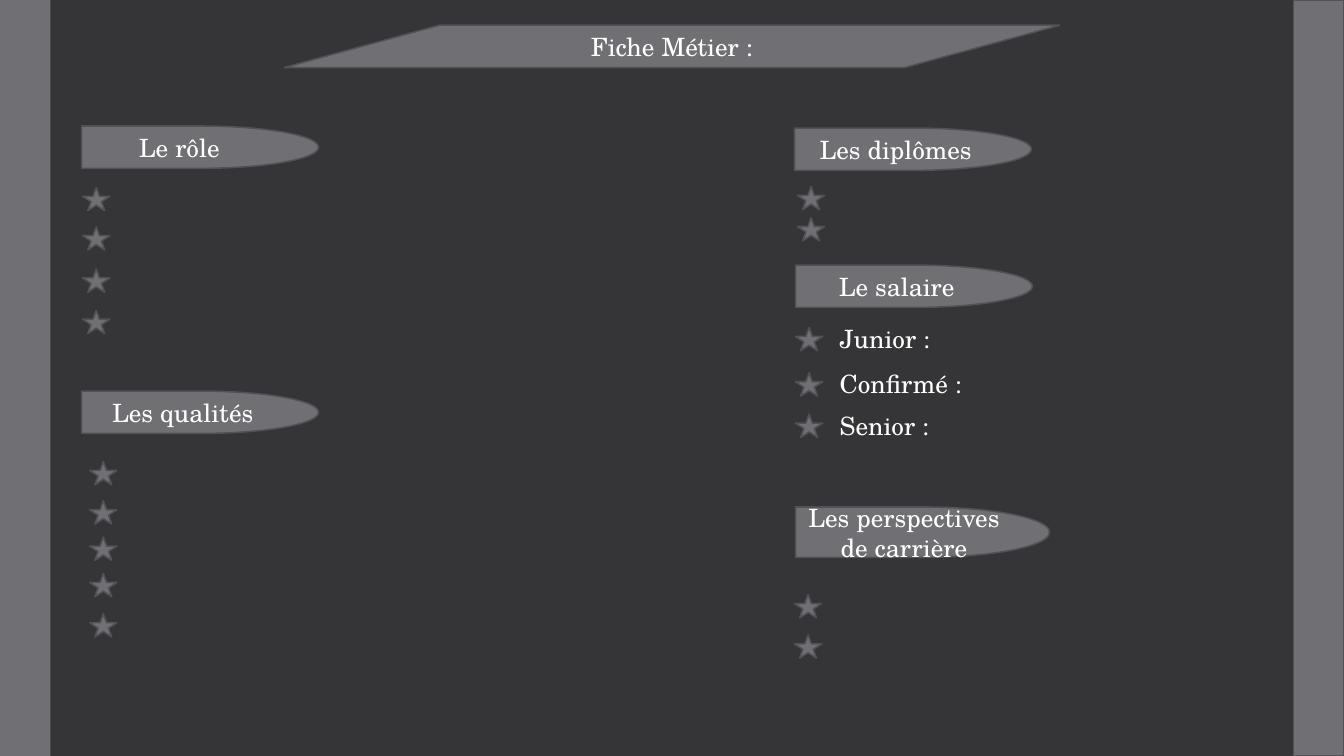
from dataclasses import dataclass

from pptx import Presentation
from pptx.dml.color import RGBColor
from pptx.enum.shapes import MSO_SHAPE
from pptx.enum.text import MSO_ANCHOR, MSO_AUTO_SIZE, PP_ALIGN
from pptx.shapes.autoshape import Shape
from pptx.slide import Slide
from pptx.text.text import TextFrame
from pptx.util import Inches, Pt

BAND = MSO_SHAPE.RECTANGLE
BANNER = MSO_SHAPE.FLOWCHART_DATA
HEADING = MSO_SHAPE.FLOWCHART_DELAY
STAR = MSO_SHAPE.STAR_5_POINT
MIDDLE = MSO_ANCHOR.MIDDLE
CENTER, LEFT = PP_ALIGN.CENTER, PP_ALIGN.LEFT
FIT_SHAPE = MSO_AUTO_SIZE.SHAPE_TO_FIT_TEXT

FONT = "TeX Gyre Schola"
DARK, GREY, EDGE, WHITE = "353537", "6F6F74", "525256", "FFFFFF"

SLIDE_WIDTH, SLIDE_HEIGHT = Inches(13.33), Inches(7.5)
ROWS = 75
CELL = SLIDE_HEIGHT // ROWS
COLUMNS = SLIDE_WIDTH / CELL
BAND_WIDTH = 5
STAR_WIDTH, STAR_HEIGHT = 2.7, 2.3
LABEL_LEFT, LABEL_RISE, LABEL_HEIGHT = 82.3, 0.9, 4


@dataclass(frozen=True)
class Area:
    column: float
    row: float
    columns: float
    rows: float

    def lengths(self) -> tuple[int, ...]:
        return tuple(round(cells * CELL)
                     for cells in (self.column, self.row, self.columns, self.rows))


@dataclass(frozen=True)
class Label:
    text: str
    columns: float


@dataclass(frozen=True)
class Section:
    title: str
    area: Area
    star_column: float
    star_rows: tuple[float, ...]
    labels: tuple[Label, ...] = ()


SECTIONS = (
    Section("Le rôle ", Area(8.1, 12.5, 23.5, 4.2), 8.2, (18.6, 22.5, 26.7, 30.8)),
    Section("Les qualités", Area(8.1, 38.8, 23.5, 4.2), 8.9,
            (45.8, 49.7, 53.3, 56.9, 60.9)),
    Section("Les diplômes", Area(78.8, 12.7, 23.5, 4.2), 79.1, (18.5, 21.6)),
    Section("Le salaire", Area(78.9, 26.3, 23.5, 4.2), 78.9, (32.5, 37, 41.1),
            (Label("Junior :", 11.1), Label("Confirmé :", 14.3), Label("Senior :", 11))),
    Section("Les perspectives de carrière", Area(78.9, 50.3, 25.2, 5), 78.8, (59, 63)),
)


def color(value: str) -> RGBColor:
    return RGBColor.from_string(value)


def write(frame: TextFrame, text: str, alignment: PP_ALIGN) -> None:
    frame.text = text
    para = frame.paragraphs[0]
    para.alignment = alignment
    for span in para.runs:
        span.font.name = FONT
        span.font.size = Pt(18)
        span.font.color.rgb = color(WHITE)


def add_figure(page: Slide, kind: MSO_SHAPE, area: Area, outlined: bool = True) -> Shape:
    figure = page.shapes.add_shape(kind, *area.lengths())
    figure.shadow.inherit = False
    figure.fill.solid()
    figure.fill.fore_color.rgb = color(GREY)
    if outlined:
        figure.line.color.rgb = color(EDGE)
        figure.line.width = Pt(1.1)
    else:
        figure.line.fill.background()
    return figure


def add_title(page: Slide, kind: MSO_SHAPE, area: Area, text: str) -> None:
    frame = add_figure(page, kind, area).text_frame
    frame.word_wrap = True
    frame.vertical_anchor = MIDDLE
    write(frame, text, CENTER)


def add_label(page: Slide, label: Label, star_row: float) -> None:
    area = Area(LABEL_LEFT, star_row - LABEL_RISE, label.columns, LABEL_HEIGHT)
    box = page.shapes.add_textbox(*area.lengths())
    box.text_frame.word_wrap = False
    box.text_frame.auto_size = FIT_SHAPE
    write(box.text_frame, label.text, LEFT)


def add_section(page: Slide, section: Section) -> None:
    add_title(page, HEADING, section.area, section.title)
    for row in section.star_rows:
        add_figure(page, STAR, Area(section.star_column, row, STAR_WIDTH, STAR_HEIGHT))
    for label, row in zip(section.labels, section.star_rows):
        add_label(page, label, row)


def main() -> None:
    deck = Presentation()
    deck.slide_width, deck.slide_height = SLIDE_WIDTH, SLIDE_HEIGHT
    page = deck.slides.add_slide(deck.slide_layouts[6])
    page.background.fill.solid()
    page.background.fill.fore_color.rgb = color(DARK)

    add_figure(page, BAND, Area(0, 0, BAND_WIDTH, ROWS), outlined=False)
    add_figure(page, BAND, Area(COLUMNS - BAND_WIDTH, 0, BAND_WIDTH, ROWS))
    add_title(page, BANNER, Area(28.2, 2.5, 76.9, 4.2), "Fiche Métier :")
    for section in SECTIONS:
        add_section(page, section)
    deck.save("out.pptx")


if __name__ == "__main__":
    main()
